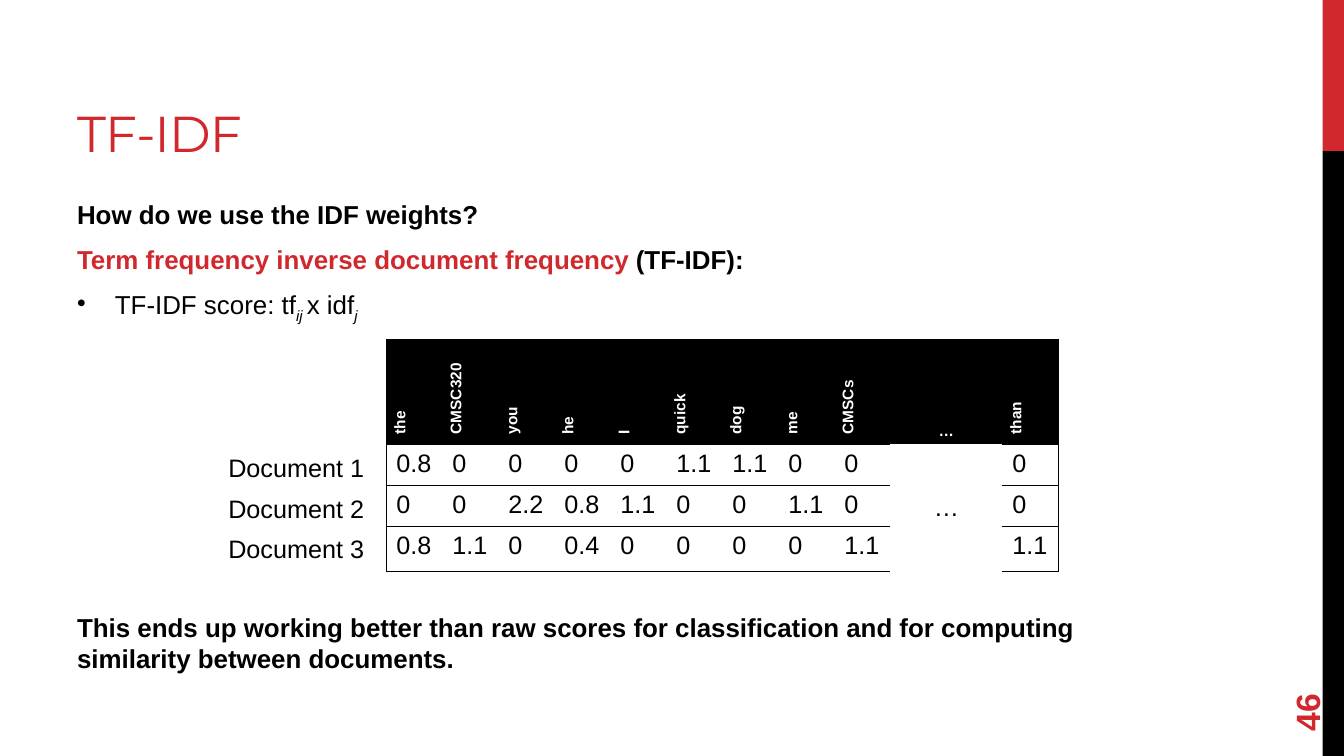
"""Build the TF-IDF score slide."""
from dataclasses import dataclass

import lxml.etree
import pptx
import pptx.dml.color
import pptx.enum.shapes
import pptx.enum.text
import pptx.oxml.ns
import pptx.util

Pt = pptx.util.Pt
RGB = pptx.dml.color.RGBColor.from_string
ANCHOR = pptx.enum.text.MSO_ANCHOR
ALIGN = pptx.enum.text.PP_ALIGN
qn = pptx.oxml.ns.qn


@dataclass(frozen=True)
class Theme:
    red: str = "D1282E"
    black: str = "000000"
    white: str = "FFFFFF"
    text_font: str = "Arial"
    title_font: str = "Montserrat"
    title: float = 36
    number: float = 24
    body: float = 18.5
    value: float = 18
    term: float = 11


class Deck:
    def __init__(self, theme, width, height):
        self.theme = theme
        self.prs = pptx.Presentation()
        self.prs.slide_width, self.prs.slide_height = Pt(width), Pt(height)
        self.s = self.prs.slides.add_slide(self.prs.slide_layouts[6])

    def bar(self, x, y, w, h, color):
        sp = self.s.shapes.add_shape(
            pptx.enum.shapes.MSO_SHAPE.RECTANGLE, Pt(x), Pt(y), Pt(w), Pt(h))
        sp.shadow.inherit = False
        sp.fill.solid()
        sp.fill.fore_color.rgb = RGB(color)
        sp.line.fill.background()

    def run(self, p, text, size, color=None, subscript=False, spacing=None, **fmt):
        r = p.add_run()
        r.text = text
        values = {"name": self.theme.text_font, "size": Pt(size), "bold": False, **fmt}
        for name, value in values.items():
            setattr(r.font, name, value)
        r.font.color.rgb = RGB(color or self.theme.black)
        rPr = r.font._element
        if subscript:
            rPr.set("baseline", "-25000")
        if spacing:
            rPr.set("spc", str(spacing))

    def box(self, x, y, w, h, anchor=ANCHOR.TOP, rotation=0):
        sp = self.s.shapes.add_textbox(Pt(x), Pt(y), Pt(w), Pt(h))
        sp.rotation = rotation
        tf = sp.text_frame
        tf.word_wrap, tf.vertical_anchor = True, anchor
        return tf

    def label(self, x, y, w, h, text, size, anchor=ANCHOR.TOP, rotation=0, **fmt):
        tf = self.box(x, y, w, h, anchor, rotation)
        self.run(tf.paragraphs[0], text, size, **fmt)

    def body(self, x, y, w, h, paragraphs):
        tf = self.box(x, y, w, h)
        for i, (before, bullet, runs) in enumerate(paragraphs):
            p = tf.add_paragraph() if i else tf.paragraphs[0]
            if bullet:
                pPr = p._p.get_or_add_pPr()
                pPr.set("marL", str(Pt(27)))
                pPr.set("indent", str(-Pt(27)))
                lxml.etree.SubElement(pPr, qn("a:buChar")).set("char", "•")
            p.space_before, p.space_after = Pt(before), Pt(6)
            for text, fmt in runs:
                self.run(p, text, self.theme.body, **fmt)

    def borders(self, cell, sides):
        tcPr = cell._tc.get_or_add_tcPr()
        for side in "LRTB":
            ln = lxml.etree.SubElement(tcPr, qn(f"a:ln{side}"), w=str(Pt(1)))
            if side in sides:
                fill = lxml.etree.SubElement(ln, qn("a:solidFill"))
                lxml.etree.SubElement(fill, qn("a:srgbClr"), val=self.theme.black)
            else:
                lxml.etree.SubElement(ln, qn("a:noFill"))

    def table(self, x, y, widths, heights, rows, gap):
        t = self.theme
        tbl = self.s.shapes.add_table(
            len(rows), len(widths), Pt(x), Pt(y),
            Pt(sum(widths)), Pt(sum(heights))).table
        tbl.first_row = tbl.horz_banding = False
        for col, w in zip(tbl.columns, widths):
            col.width = Pt(w)
        for row, h in zip(tbl.rows, heights):
            row.height = Pt(h)
        last_row, last_col = len(rows) - 1, len(widths) - 1
        for i, row in enumerate(rows):
            for j, text in enumerate(row):
                cell = tbl.cell(i, j)
                header = i == 0
                sides = "TB" if j != gap or header else "B" * (i == last_row)
                sides += "L" * (j == 0) + "R" * (j == last_col)
                self.borders(cell, sides)
                cell.fill.solid()
                cell.fill.fore_color.rgb = RGB(t.black if header else t.white)
                p = cell.text_frame.paragraphs[0]
                if j == gap:
                    p.alignment = ALIGN.CENTER
                    cell.vertical_anchor = ANCHOR.BOTTOM if header else ANCHOR.MIDDLE
                elif header:
                    cell._tc.tcPr.set("vert", "vert270")
                if text:
                    self.run(p, text, t.term if header else t.value,
                             t.white if header else t.black, bold=header)
        tbl.cell(1, gap).merge(tbl.cell(last_row, gap))


def main():
    t = Theme()
    deck = Deck(t, 960, 540)
    deck.bar(944.8, 0, 15.2, 108, t.red)
    deck.bar(944.8, 108, 15.2, 432, t.black)
    deck.label(48, 12, 608, 108, "TF-IDF", t.title, ANCHOR.BOTTOM,
               color=t.red, name=t.title_font, spacing=-60)

    bold, sub = {"bold": True}, {"italic": True, "subscript": True}
    deck.body(48, 138, 800, 344, [
        (0, False, [("How do we use the IDF weights?", bold)]),
        (4.25, False, [
            ("Term frequency inverse document frequency", {"bold": True, "color": t.red}),
            (" (TF-IDF):", bold)]),
        (4.25, True, [("TF-IDF score: tf", {}), ("ij ", sub), ("x idf", {}), ("j", sub)]),
        (199, False, [("This ends up working better than raw scores for classification "
                       "and for computing similarity between documents.", bold)]),
    ])
    deck.label(881.5, 458.5, 103.5, 38, "46", t.number, ANCHOR.MIDDLE, 270,
               color=t.red, bold=True)

    terms = ["the", "CMSC320", "you", "he", "I", "quick", "dog", "me", "CMSCs", "…", "than"]
    scores = [
        ["0.8", "0", "0", "0", "0", "1.1", "1.1", "0", "0", "…", "0"],
        ["0", "0", "2.2", "0.8", "1.1", "0", "0", "1.1", "0", "", "0"],
        ["0.8", "1.1", "0", "0.4", "0", "0", "0", "0", "1.1", "", "1.1"],
    ]
    gap = terms.index("…")
    widths = [80 if j == gap else 40 for j in range(len(terms))]
    deck.table(276, 242.5, widths, [75, 29.5, 28, 32.5], [terms, *scores], gap)
    for i in range(len(scores)):
        deck.label(156, 319.7 + 28.8 * i, 114.5, 29, f"Document {i + 1}", t.value)

    deck.prs.save("out.pptx")


if __name__ == "__main__":
    main()
